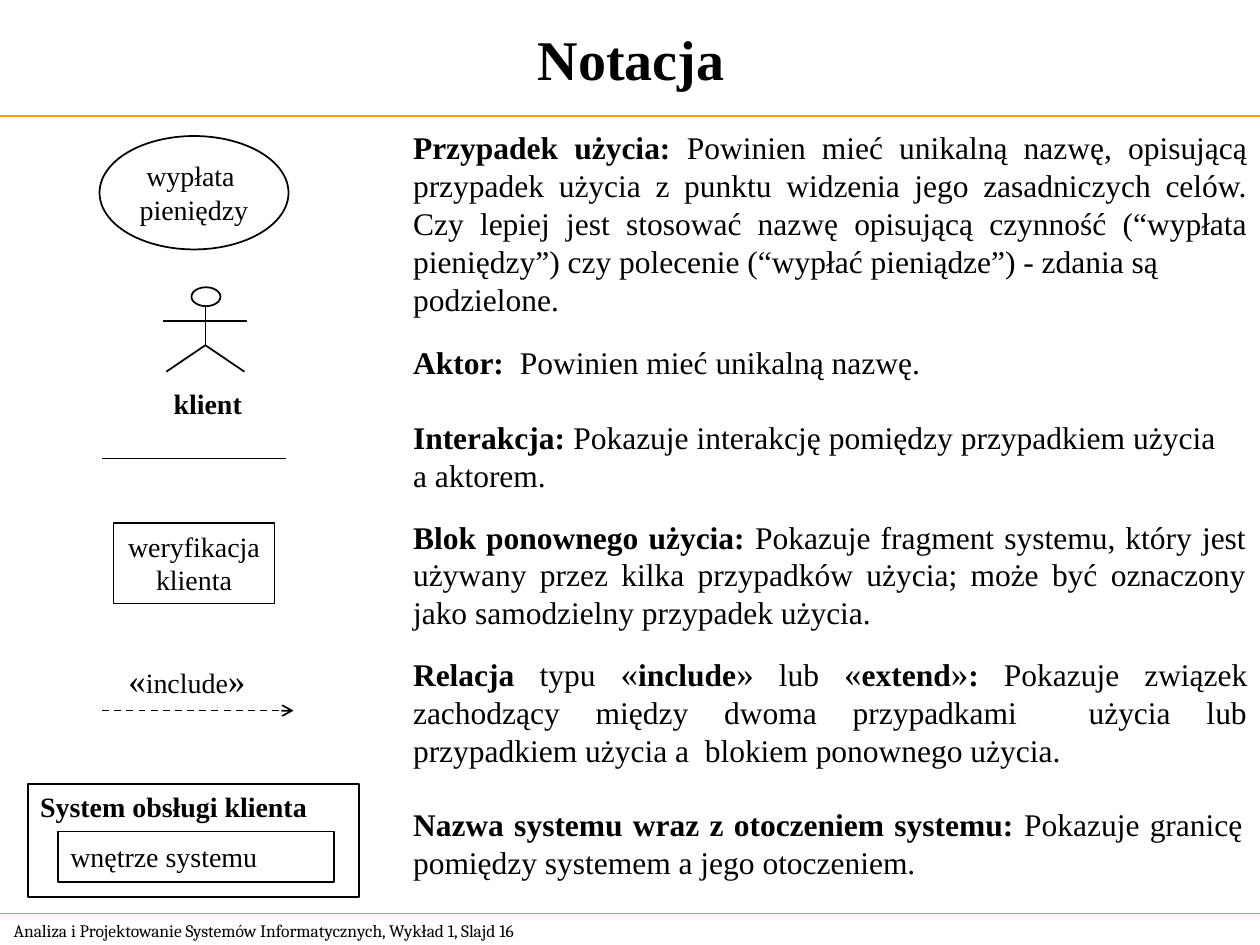
from itertools import groupby

from lxml.etree import SubElement
from pptx import Presentation
from pptx.dml.color import RGBColor
from pptx.enum.dml import MSO_LINE_DASH_STYLE as Dash
from pptx.enum.shapes import MSO_CONNECTOR as Connector, MSO_SHAPE as Shape
from pptx.enum.text import MSO_ANCHOR as Anchor, MSO_AUTO_SIZE as AutoSize, PP_ALIGN as Align
from pptx.oxml.ns import qn
from pptx.util import Inches, Pt

COLUMNS, ROWS = 100, 75
TEXT_COLUMN = 31.8


def color(hex_string):
    return RGBColor.from_string(hex_string)


def write(shape, text, size=16, font="Times New Roman", align=Align.LEFT,
          last_align=None, anchor=Anchor.TOP, wrap=True):
    frame = shape.text_frame
    frame.auto_size = AutoSize.NONE
    frame.word_wrap = wrap
    frame.vertical_anchor = anchor
    frame.margin_left = frame.margin_right = Inches(0.1)
    frame.margin_top = frame.margin_bottom = Inches(0.05)
    lines = text.split("\n")
    for index, line in enumerate(lines):
        paragraph = frame.add_paragraph() if index else frame.paragraphs[0]
        is_last = index and index == len(lines) - 1
        paragraph.alignment = last_align if is_last and last_align else align
        for part_index, part in enumerate(line.split("*")):
            for is_quote, letters in groupby(part, lambda letter: letter in "«»"):
                run = paragraph.add_run()
                run.text = "".join(letters)
                run.font.name = font
                run.font.size = Pt(20 if is_quote else size)
                run.font.bold = part_index % 2 == 1
                run.font.color.rgb = color("000000")


class NotationSlide:
    ink = "000000"
    rule_color = "FF9900"

    def __init__(self, presentation):
        self.column = presentation.slide_width / COLUMNS
        self.row = presentation.slide_height / ROWS
        self.slide = presentation.slides.add_slide(presentation.slide_layouts[5])
        self.shapes = self.slide.shapes

    def place(self, x, y, width, height):
        return (round(x * self.column), round(y * self.row),
                round(width * self.column), round(height * self.row))

    def title(self, text, *box):
        shape = self.slide.shapes.title
        shape.left, shape.top, shape.width, shape.height = self.place(*box)
        write(shape, text, size=32, align=Align.CENTER, anchor=Anchor.MIDDLE)

    def text(self, text, *box, **style):
        write(self.shapes.add_textbox(*self.place(*box)), text, **style)

    def outline(self, kind, *box, text="", fill=None, **style):
        shape = self.shapes.add_shape(kind, *self.place(*box))
        shape.shadow.inherit = False
        if fill:
            shape.fill.solid()
            shape.fill.fore_color.rgb = color(fill)
        else:
            shape.fill.background()
        shape.line.color.rgb = color(self.ink)
        shape.line.width = Pt(1)
        if text:
            write(shape, text, **style)

    def line(self, *ends, line_color=ink, width=1, arrow=False):
        connector = self.shapes.add_connector(Connector.STRAIGHT, *self.place(*ends))
        connector.line.color.rgb = color(line_color)
        connector.line.width = Pt(width)
        if arrow:
            connector.line.dash_style = Dash.DASH
            SubElement(connector.line._get_or_add_ln(), qn("a:tailEnd"), type="arrow")
        SubElement(connector._element.spPr, qn("a:effectLst"))

    def rule(self, y):
        self.line(0, y, COLUMNS, y, line_color=self.rule_color, width=0.75)

    def actor(self, center, top, name):
        self.shapes = self.slide.shapes.add_group_shape().shapes
        neck, hip = top + 1.6, top + 4.6
        self.text(name, center - 3.5, top + 7.4, 7.4, 3.6, wrap=False)
        self.outline(Shape.OVAL, center - 1.1, top, 2.3, 1.5)
        self.line(center, neck, center, hip)
        self.line(center - 3.4, top + 2.65, center + 3.3, top + 2.65)
        for side in (-1, 1):
            self.line(center, hip, center + side * 3.1, top + 6.7)
        self.shapes = self.slide.shapes


DESCRIPTIONS = [
    (9.7, 68.2, 16, "*Przypadek użycia:* Powinien mieć unikalną nazwę, opisującą przypadek "
     "użycia z punktu widzenia jego zasadniczych celów. Czy lepiej jest stosować nazwę "
     "opisującą czynność (“wypłata pieniędzy”) czy polecenie (“wypłać pieniądze”) "
     "- zdania są\npodzielone."),
    (26.7, 68.2, 4, "*Aktor:  *Powinien mieć unikalną nazwę."),
    (32.7, 65.7, 7, "*Interakcja: *Pokazuje interakcję pomiędzy przypadkiem użycia a aktorem."),
    (40.6, 68.1, 10, "*Blok ponownego użycia: *Pokazuje fragment systemu, który jest używany "
     "przez kilka przypadków użycia; może być oznaczony jako samodzielny przypadek użycia."),
    (51.2, 68.2, 10.4, "*Relacja *typu «*include*» lub «*extend*»*: *Pokazuje związek "
     "zachodzący między dwoma przypadkami  użycia lub przypadkiem użycia a  blokiem "
     "ponownego użycia."),
    (63.4, 67.8, 7, "*Nazwa systemu wraz z otoczeniem systemu: *Pokazuje granicę pomiędzy "
     "systemem a jego otoczeniem."),
]


def main():
    presentation = Presentation()
    presentation.slide_width, presentation.slide_height = Inches(10), Inches(7.5)
    notation = NotationSlide(presentation)

    notation.title("*Notacja*", 0, 0, 100.2, 9.2)
    notation.rule(9.2)
    notation.rule(72.5)
    notation.text("Analiza i Projektowanie Systemów Informatycznych, Wykład 1, Slajd 16",
                  0.1, 72.5, 47.5, 2.7, size=10, font="Cambria", anchor=Anchor.MIDDLE)

    for top, width, height, description in DESCRIPTIONS:
        notation.text(description, TEXT_COLUMN, top, width, height, size=18,
                      align=Align.JUSTIFY, last_align=Align.LEFT)

    notation.outline(Shape.OVAL, 7.9, 10.8, 15, 9, text="wypłata \npieniędzy",
                     align=Align.CENTER, wrap=False)
    notation.actor(16.3, 22.8, "*klient*")
    notation.line(8.1, 36.4, 22.7, 36.4)
    notation.outline(Shape.RECTANGLE, 9, 41.5, 12.8, 6.4, text="weryfikacja\nklienta",
                     align=Align.CENTER)
    notation.text("«include»", 9.2, 51.8, 11.3, 4.4, wrap=False)
    notation.line(8.1, 56.4, 23.3, 56.4, arrow=True)
    notation.outline(Shape.RECTANGLE, 2.2, 62.2, 26.3, 9, text="*System obsługi klienta*")
    notation.outline(Shape.RECTANGLE, 4.6, 66, 21.9, 4, text="wnętrze systemu",
                     fill="FFFFFF", anchor=Anchor.MIDDLE)

    presentation.save("out.pptx")


if __name__ == "__main__":
    main()
